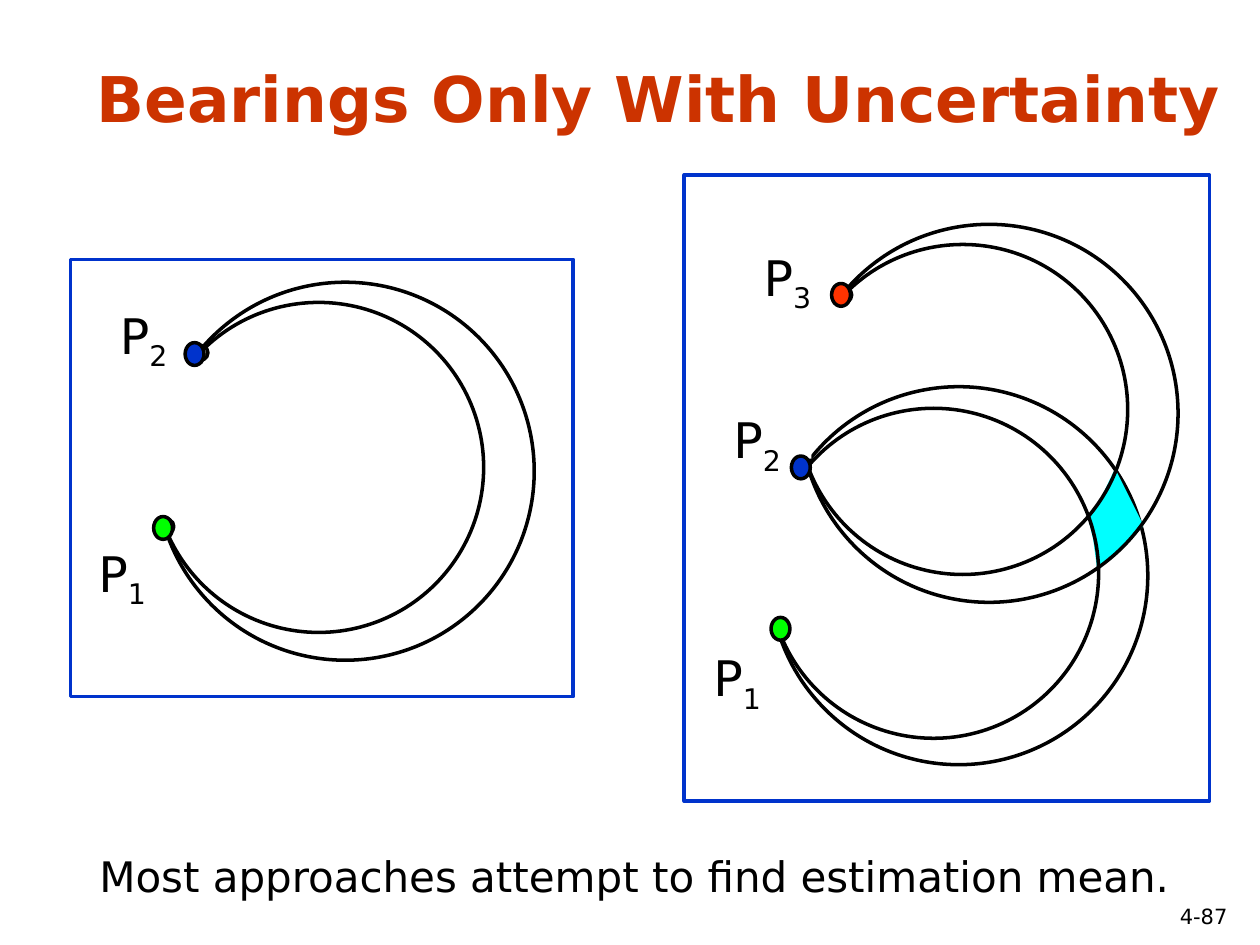
from pptx import Presentation
from pptx.dml.color import RGBColor
from pptx.enum.shapes import MSO_SHAPE as Shape
from pptx.enum.text import MSO_ANCHOR as Anchor, PP_ALIGN as Align
from pptx.util import Pt

COLORS = {
    "title": "CC3300", "black": "000000", "white": "FFFFFF", "frame": "0033CC",
    "red": "FF3300", "green": "00FF00", "overlap": "00FFFF",
}
INNER, OUTER, ENDPOINT = 188.6, 216, 8.6
TILT = 25.6


class BearingSlide:
    """Draws bearing diagrams on one slide in a shared style."""

    def __init__(self, presentation, font="DejaVu Sans", line_width=2):
        self.slide = presentation.slides.add_slide(presentation.slide_layouts[6])
        self.shapes = self.slide.shapes
        self.font = font
        self.line_width = line_width

    def start_panel(self, left, top, width, height):
        self.shapes = self.slide.shapes.add_group_shape().shapes
        self.shape(Shape.RECTANGLE, left, top, width, height, "white", "frame")

    def paint(self, shape, fill, line):
        shape.shadow.inherit = False
        if fill:
            shape.fill.solid()
            shape.fill.fore_color.rgb = RGBColor.from_string(COLORS[fill])
        else:
            shape.fill.background()
        if line:
            shape.line.color.rgb = RGBColor.from_string(COLORS[line])
            shape.line.width = Pt(self.line_width)
        else:
            shape.line.fill.background()

    def shape(self, kind, left, top, width, height, fill=None, line=None):
        shape = self.shapes.add_shape(kind, Pt(left), Pt(top), Pt(width), Pt(height))
        self.paint(shape, fill, line)
        return shape

    def circle(self, left, top, size, fill=None):
        self.shape(Shape.OVAL, left, top, size, size, fill, "black")

    def landmark(self, left, top, fill):
        self.shape(Shape.OVAL, left, top, 10.8, 13, fill, "black")

    def mask(self, left, top, width, height, rotation=0):
        self.shape(Shape.RECTANGLE, left, top, width, height, "white").rotation = rotation

    def polygon(self, points, color):
        start, *others = [(Pt(x), Pt(y)) for x, y in points]
        builder = self.shapes.build_freeform(*start)
        builder.add_line_segments(others, close=True)
        self.paint(builder.convert_to_shape(), color, color)

    def text(self, text, left, top, width, height, size, color="black",
             align=Align.LEFT, spacing=0.9, bold=False):
        box = self.shapes.add_textbox(Pt(left), Pt(top), Pt(width), Pt(height))
        box.text_frame.word_wrap = True
        paragraph = box.text_frame.paragraphs[0]
        paragraph.add_run().text = text
        paragraph.alignment = align
        paragraph.line_spacing = spacing
        paragraph.font.name = self.font
        paragraph.font.size = Pt(size)
        paragraph.font.bold = bold
        paragraph.font.color.rgb = RGBColor.from_string(COLORS[color])
        return box.text_frame

    def label(self, index, left, top):
        frame = self.text("P", left, top, 43.2, 37.4, 28, align=Align.CENTER)
        frame.margin_left = frame.margin_right = 0
        subscript = frame.paragraphs[0].add_run()
        subscript.text = str(index)
        subscript.font._element.set("baseline", "-25000")


def draw_three_landmarks(slide):
    slide.start_panel(391, 100, 300.2, 357.8)
    slide.circle(439.9, 221, OUTER)
    slide.label(1, 399.6, 367.2)
    slide.circle(442.1, 357.1, ENDPOINT, "white")
    slide.label(2, 411.1, 231.1)
    slide.circle(478.1, 164.2, ENDPOINT, "white")
    slide.label(3, 428.4, 138.2)
    slide.polygon([(622.8, 295.9), (630, 285.1), (637.2, 270), (652.3, 300.2),
                   (627.8, 324), (625.7, 308.2)], "overlap")
    slide.circle(455.8, 139.7, INNER)
    slide.circle(457.2, 128.2, OUTER)
    slide.circle(439.2, 233.3, INNER)
    slide.mask(455.8, 170.6, 18, 65.5, TILT)
    slide.mask(450.7, 195.1, 13, 67)
    slide.mask(434.9, 262.8, 14.4, 65.5, TILT)
    slide.mask(426.2, 288, 30.2, 67)
    slide.landmark(452.2, 260.6, "frame")
    slide.landmark(475.2, 162, "red")
    slide.landmark(440.6, 352.8, "green")


def draw_two_landmarks(slide):
    slide.start_panel(40.3, 148.3, 287.3, 249.8)
    slide.circle(87.8, 172.8, INNER)
    slide.circle(89.3, 161.3, OUTER)
    slide.label(1, 48.2, 307.4)
    slide.circle(90.7, 296.6, ENDPOINT, "white")
    slide.circle(110.2, 197.3, ENDPOINT, "white")
    slide.label(2, 60.5, 171.4)
    slide.mask(74.9, 228.2, 30.2, 67)
    slide.mask(87.8, 203.8, 18, 65.5, TILT)
    slide.landmark(105.8, 195.8, "frame")
    slide.landmark(87.8, 295.2, "green")


def main():
    presentation = Presentation()
    presentation.slide_width, presentation.slide_height = Pt(720), Pt(540)
    slide = BearingSlide(presentation)
    slide.text("4-87", 634.3, 514.1, 74.2, 20.9, 12, align=Align.RIGHT)
    title = slide.text("Bearings Only With Uncertainty", 48.2, 30.2, 663.1, 50.4, 36,
                       "title", spacing=1.0, bold=True)
    title.vertical_anchor = Anchor.BOTTOM
    draw_three_landmarks(slide)
    draw_two_landmarks(slide)
    slide.shapes = slide.slide.shapes
    slide.text("Most approaches attempt to find estimation mean.",
               49.7, 486, 636.5, 33.1, 24)
    presentation.save("out.pptx")


if __name__ == "__main__":
    main()
